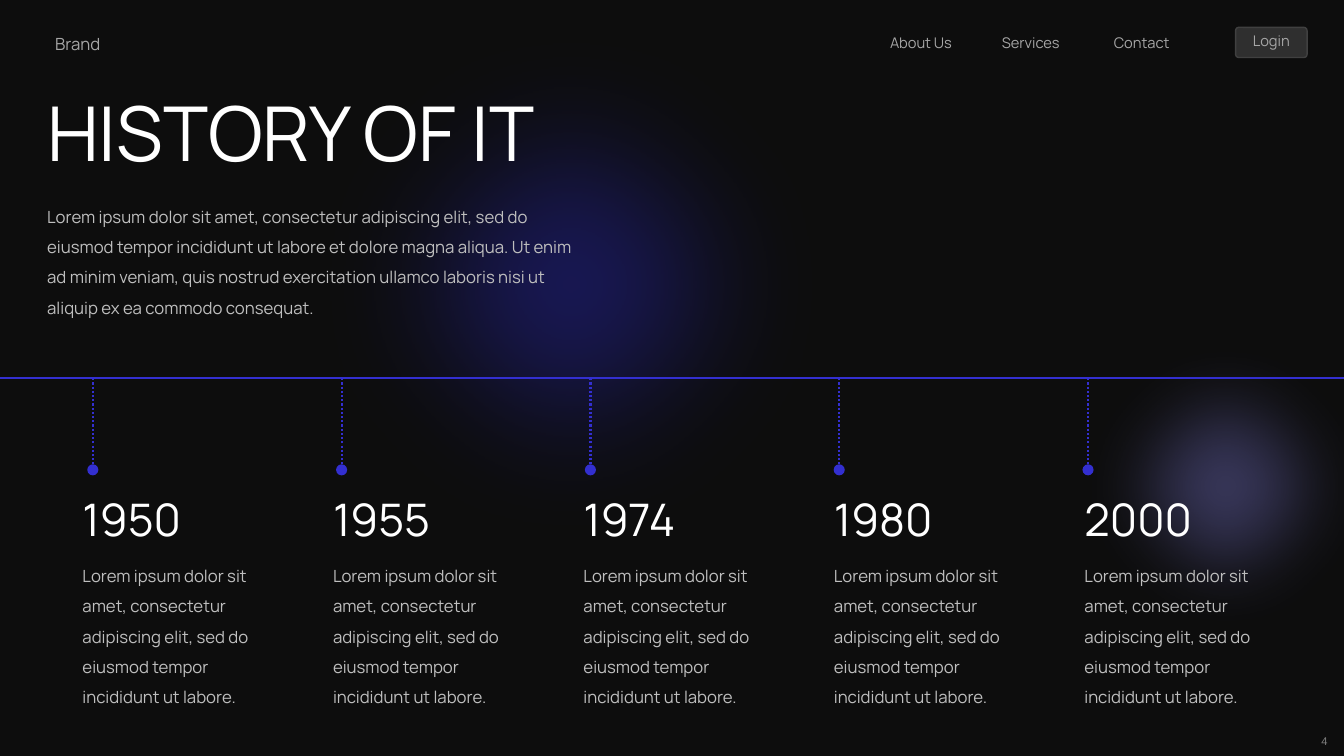
import pptx
import pptx.dml.color
import pptx.enum.dml
import pptx.enum.shapes
import pptx.enum.text
import pptx.oxml
import pptx.oxml.ns
import pptx.util

Cm = pptx.util.Cm
Pt = pptx.util.Pt
FORM = pptx.enum.shapes.MSO_SHAPE
ALIGN = pptx.enum.text.PP_ALIGN
WIDE, HIGH = 33.87, 19.05
INK = {
    "back": "0D0D0D", "blue": "332FD0", "deep": "26239C", "pale": "8582E3",
    "white": "FFFFFF", "body": "BFBFBF", "menu": "A6A6A6", "page": "7F7F7F",
    "pane": "F2F2F2", "edge": "404040",
}
STYLE = {
    "title": {"size": Pt(54), "name": "Manrope", "ink": "white"},
    "year": {"size": Pt(32), "name": "Manrope", "ink": "white"},
    "body": {"size": Pt(12), "name": "Manrope", "ink": "body", "gap": 1.5},
    "brand": {"size": Pt(12), "name": "Manrope", "ink": "menu"},
    "menu": {"size": Pt(10.5), "name": "Manrope", "ink": "menu"},
    "page": {"size": Pt(8), "name": "Arial", "ink": "page"},
}
INTRO = (
    "Lorem ipsum dolor sit amet, consectetur adipiscing elit, sed do eiusmod "
    "tempor incididunt ut labore et dolore magna aliqua. Ut enim ad minim veniam, "
    "quis nostrud exercitation ullamco laboris nisi ut aliquip ex ea commodo consequat."
)
NOTE = (
    "Lorem ipsum dolor sit amet, consectetur adipiscing elit, "
    "sed do eiusmod tempor incididunt ut labore."
)
YEARS = ["1950", "1955", "1974", "1980", "2000"]


def tint(name):
    """Return the named colour."""
    return pptx.dml.color.RGBColor.from_string(INK[name])


def node(tag, **attrs):
    """Return a new drawing element with the given attributes."""
    item = pptx.oxml.parse_xml(f"<a:{tag} {pptx.oxml.ns.nsdecls('a')}/>")
    for key, value in attrs.items():
        item.set(key, str(value))
    return item


def write(slide, box, text, kind, align=ALIGN.LEFT):
    """Add one paragraph of text in the given style."""
    area = slide.shapes.add_textbox(*map(Cm, box))
    frame = area.text_frame
    form = {"word_wrap": True, "auto_size": pptx.enum.text.MSO_AUTO_SIZE.SHAPE_TO_FIT_TEXT}
    for key, value in form.items():
        setattr(frame, key, value)
    para = frame.paragraphs[0]
    para.alignment = align
    run = para.add_run()
    run.text = text
    for key, value in STYLE[kind].items():
        if key == "ink":
            run.font.color.rgb = tint(value)
        elif key == "gap":
            para.line_spacing = value
        else:
            setattr(run.font, key, value)


def draw(slide, form, box, ink, alpha=100):
    """Add a filled shape without an outline."""
    shape = slide.shapes.add_shape(form, *map(Cm, box))
    shape.shadow.inherit = False
    shape.fill.solid()
    shape.fill.fore_color.rgb = tint(ink)
    shape.line.fill.background()
    if alpha < 100:
        color = shape.fill._xPr.find(".//" + pptx.oxml.ns.qn("a:srgbClr"))
        color.append(node("alpha", val=alpha * 1000))
    return shape


def rule(slide, ends, dash=None):
    """Add a blue line between two points."""
    line = slide.shapes.add_connector(
        pptx.enum.shapes.MSO_CONNECTOR.STRAIGHT, *map(Cm, ends))
    line.line.color.rgb = tint("blue")
    form = {"width": Pt(1.5), "dash_style": dash}
    for key, value in form.items():
        setattr(line.line, key, value)
    line._element.spPr.append(node("effectLst"))


def glow(slide, box, ink, alpha, soft):
    """Add a translucent disc with a soft edge."""
    disc = draw(slide, FORM.OVAL, box, ink, alpha)
    effect = disc._element.spPr.find(pptx.oxml.ns.qn("a:effectLst"))
    effect.append(node("softEdge", rad=int(Cm(soft))))


def header(slide, box):
    """Add the brand word, the menu and the login button."""
    left, top, wide, high = box
    right = left + wide
    button = (right - 1.8, top - 0.03, 1.8, high)
    pane = draw(slide, FORM.ROUNDED_RECTANGLE, button, "pane", 15)
    pane.adjustments[0] = 0.105
    pane.line.color.rgb = tint("edge")
    pane.line.width = Pt(1)
    write(slide, (left + 0.2, top, 2.01, high), "Brand", "brand")
    for i, label in enumerate(["About Us", "Services", "Contact"]):
        spot = (right - 10.76 + 2.82 * i, top, 2.21, high)
        write(slide, spot, label, "menu")
    write(slide, button, "Login", "menu", ALIGN.CENTER)


def intro(slide, box):
    """Add the title and the paragraph below it."""
    left, top, wide, high = box
    write(slide, (left, top, wide, 2.57), "HISTORY OF IT", "title")
    write(slide, (left, top + 2.8, wide, high - 2.8), INTRO, "body")


def axis(slide, box):
    """Add the time line with its dotted stems and dots."""
    left, top, wide, high = box
    dot = 0.28
    rule(slide, (left, top, left + wide, top))
    for i in range(len(YEARS)):
        x = left + 2.34 + 6.27 * i
        rule(slide, (x, top, x, top + high - 0.2),
             pptx.enum.dml.MSO_LINE.ROUND_DOT)
        draw(slide, FORM.OVAL, (x - dot / 2, top + high - dot, dot, dot), "blue")


def events(slide, box):
    """Add a year and a note in each column."""
    left, top, wide, high = box
    col = 4.93
    step = (wide - col) / (len(YEARS) - 1)
    for i, year in enumerate(YEARS):
        x = left + step * i
        write(slide, (x, top, col, 1.62), year, "year")
        write(slide, (x, top + 1.62, col, high - 1.62), NOTE, "body")


def main():
    """Build the slide and save it."""
    deck = pptx.Presentation()
    deck.slide_width, deck.slide_height = Cm(WIDE), Cm(HIGH)
    slide = deck.slides.add_slide(deck.slide_layouts[6])
    slide.background.fill.solid()
    slide.background.fill.fore_color.rgb = tint("back")
    header(slide, (0.94, 0.72, 32, 0.76))
    write(slide, (31.5, 18.37, 2.21, 0.61), "4", "page", ALIGN.RIGHT)
    glow(slide, (6.5, -0.74, 15.82, 15.82), "deep", 52, 3.53)
    glow(slide, (26.34, 7.7, 9.09, 9.09), "pale", 37, 2.03)
    intro(slide, (0.94, 2.03, 13.97, 6.13))
    axis(slide, (0, 9.53, WIDE, 2.45))
    events(slide, (1.83, 12.26, 30.18, 5.73))
    deck.save("out.pptx")


if __name__ == "__main__":
    main()
